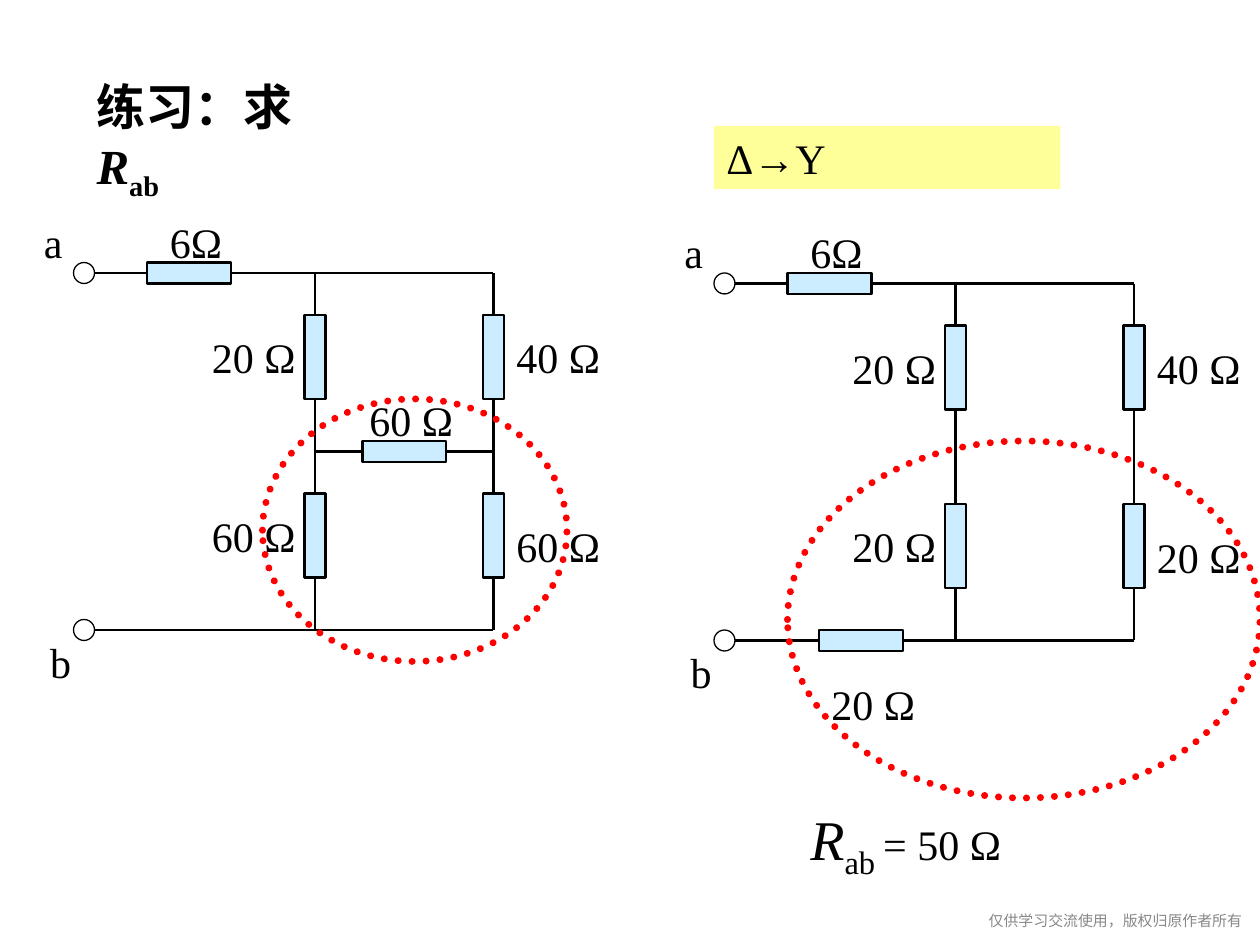
import lxml.etree
import pptx
import pptx.dml.color
import pptx.enum.dml
import pptx.enum.shapes
import pptx.enum.text
import pptx.oxml.ns
import pptx.util

SHAPE = pptx.enum.shapes.MSO_SHAPE
COLORS = {
    "ink": "000000",
    "resistor": "CCECFF",
    "banner": "FFFF99",
    "highlight": "FF0000",
    "footer": "888888",
}
LATIN = "Times New Roman"
CJK = "Noto Sans CJK SC"


def grid(units):
    """Convert grid units, twelve to the inch, to a length."""
    return pptx.util.Cm(units * 2.54 / 12)


def rgb(name):
    return pptx.dml.color.RGBColor.from_string(COLORS[name])


def add_element(parent, tag, **attributes):
    return lxml.etree.SubElement(parent, pptx.oxml.ns.qn(tag), **attributes)


class Sketch:
    """Draws styled elements on one slide, in grid units from a movable origin."""

    def __init__(self, slide):
        self.slide = slide
        self.shapes = slide.shapes
        self.origin = (0, 0)

    def start_group(self, x, y):
        self.shapes = self.slide.shapes.add_group_shape().shapes
        self.origin = (x, y)

    def end_group(self):
        self.shapes = self.slide.shapes
        self.origin = (0, 0)

    def place(self, x, y):
        return grid(x + self.origin[0]), grid(y + self.origin[1])

    def wire(self, x1, y1, x2, y2):
        connector = self.shapes.add_connector(
            pptx.enum.shapes.MSO_CONNECTOR.STRAIGHT,
            *self.place(x1, y1), *self.place(x2, y2))
        connector.line.color.rgb = rgb("ink")
        connector.line.width = pptx.util.Pt(1.5)
        add_element(connector._element.spPr, "a:effectLst")

    def shape(self, kind, x, y, width, height, fill=None, line=None, weight=1.5):
        shape = self.shapes.add_shape(
            kind, *self.place(x, y), grid(width), grid(height))
        shape.shadow.inherit = False
        if fill:
            shape.fill.solid()
            shape.fill.fore_color.rgb = rgb(fill)
        else:
            shape.fill.background()
        if line:
            shape.line.color.rgb = rgb(line)
            shape.line.width = pptx.util.Pt(weight)
        else:
            shape.line.fill.background()
        return shape

    def resistor(self, x, y, upright=True):
        width, height = (2, 8) if upright else (8, 2)
        self.shape(SHAPE.RECTANGLE, x, y, width, height, "resistor", "ink")

    def dotted_ellipse(self, x, y, width, height):
        ellipse = self.shape(SHAPE.OVAL, x, y, width, height,
                             line="highlight", weight=4)
        ellipse.line.dash_style = pptx.enum.dml.MSO_LINE.ROUND_DOT
        ellipse._element.spPr.find(pptx.oxml.ns.qn("a:ln")).set("cap", "rnd")

    def fill_text(self, frame, runs, size=24, color="ink", bold=False,
                  align=pptx.enum.text.PP_ALIGN.LEFT):
        """Fill a frame with one paragraph of (text, "i" or "sub", size) runs."""
        frame.word_wrap = True
        frame.vertical_anchor = pptx.enum.text.MSO_ANCHOR.TOP
        paragraph = frame.paragraphs[0]
        paragraph.alignment = align
        paragraph.font.name = LATIN
        paragraph.font.size = pptx.util.Pt(size)
        paragraph.font.bold = bold
        paragraph.font.color.rgb = rgb(color)
        for text, style, run_size in runs:
            run = paragraph.add_run()
            run.text = text
            if style == "i":
                run.font.italic = True
            if run_size:
                run.font.size = pptx.util.Pt(run_size)
            properties = run._r.get_or_add_rPr()
            if style == "sub":
                properties.set("baseline", "-25000")
            add_element(properties, "a:ea", typeface=CJK)

    def text(self, x, y, width, height, runs, **style):
        box = self.shapes.add_textbox(
            *self.place(x, y), grid(width), grid(height))
        self.fill_text(box.text_frame, runs, **style)
        return box

    def label(self, text, x, y, width=11):
        self.text(x, y, width, 6, [(text, None, None)])

    def title(self, x, y, width, height, runs, **style):
        title = self.slide.shapes.title
        title.left, title.top = grid(x), grid(y)
        title.width, title.height = grid(width), grid(height)
        frame = title.text_frame
        frame.auto_size = pptx.enum.text.MSO_AUTO_SIZE.NONE
        frame.margin_right = grid(6)
        self.fill_text(frame, runs, **style)

    def circuit(self, x, y, upper_left, upper_right, lower_left, lower_right):
        """Open a group and draw the ladder that both circuits share."""
        self.start_group(x, y)
        for rail in (26, 60):
            self.wire(9, rail, 47, rail)
            self.shape(SHAPE.OVAL, 7, rail - 1, 2, 2, line="ink", weight=0.75)
        for column in (30, 47):
            for top in (26, 43):
                self.wire(column, top, column, top + 17)
                self.resistor(column - 1, top + 4)
        self.resistor(14, 25, upright=False)
        self.label("a", 3, 20, 7)
        self.label("b", 3.6, 60, 4.4)
        self.label("6Ω", 15, 20)
        self.label(upper_left, 19, 31)
        self.label(upper_right, 48, 31)
        self.label(lower_left, 19, 48)
        self.label(lower_right, 48, 49)


def main():
    presentation = pptx.Presentation()
    presentation.slide_width, presentation.slide_height = grid(120), grid(90)
    slide = presentation.slides.add_slide(presentation.slide_layouts[5])
    sketch = Sketch(slide)

    sketch.title(8, 6.7, 27.8, 6.8,
                 [("练习：求", None, None), ("R", "i", None), ("ab", "sub", None)],
                 size=28, bold=True)

    sketch.circuit(0, 0, "20 Ω", "40 Ω", "60 Ω", "60 Ω")
    sketch.wire(47, 43, 30, 43)
    sketch.resistor(34.5, 42, upright=False)
    sketch.label("60 Ω", 34, 37)

    sketch.circuit(61, 1, "20 Ω", "40 Ω", "20 Ω", "20 Ω")
    sketch.resistor(17, 59, upright=False)
    sketch.label("20 Ω", 17, 63)
    sketch.end_group()

    sketch.text(76, 76, 27, 7.5,
                [("R", "i", None), ("ab ", "sub", None), ("= 50 Ω", None, 24)],
                size=32)
    banner = sketch.shape(SHAPE.RECTANGLE, 68, 12, 33, 6, "banner")
    sketch.fill_text(banner.text_frame, [("Δ→Υ", None, None)])
    sketch.dotted_ellipse(25, 38, 29, 25)
    sketch.dotted_ellipse(75, 42, 45, 34)

    footer = sketch.text(72.7, 86.8, 45.6, 2.6,
                         [("仅供学习交流使用，版权归原作者所有", None, None)],
                         size=8.5, color="footer",
                         align=pptx.enum.text.PP_ALIGN.RIGHT)
    frame = footer.text_frame
    frame.margin_left = frame.margin_right = 0
    frame.margin_top = frame.margin_bottom = 0

    presentation.save("out.pptx")


if __name__ == "__main__":
    main()
